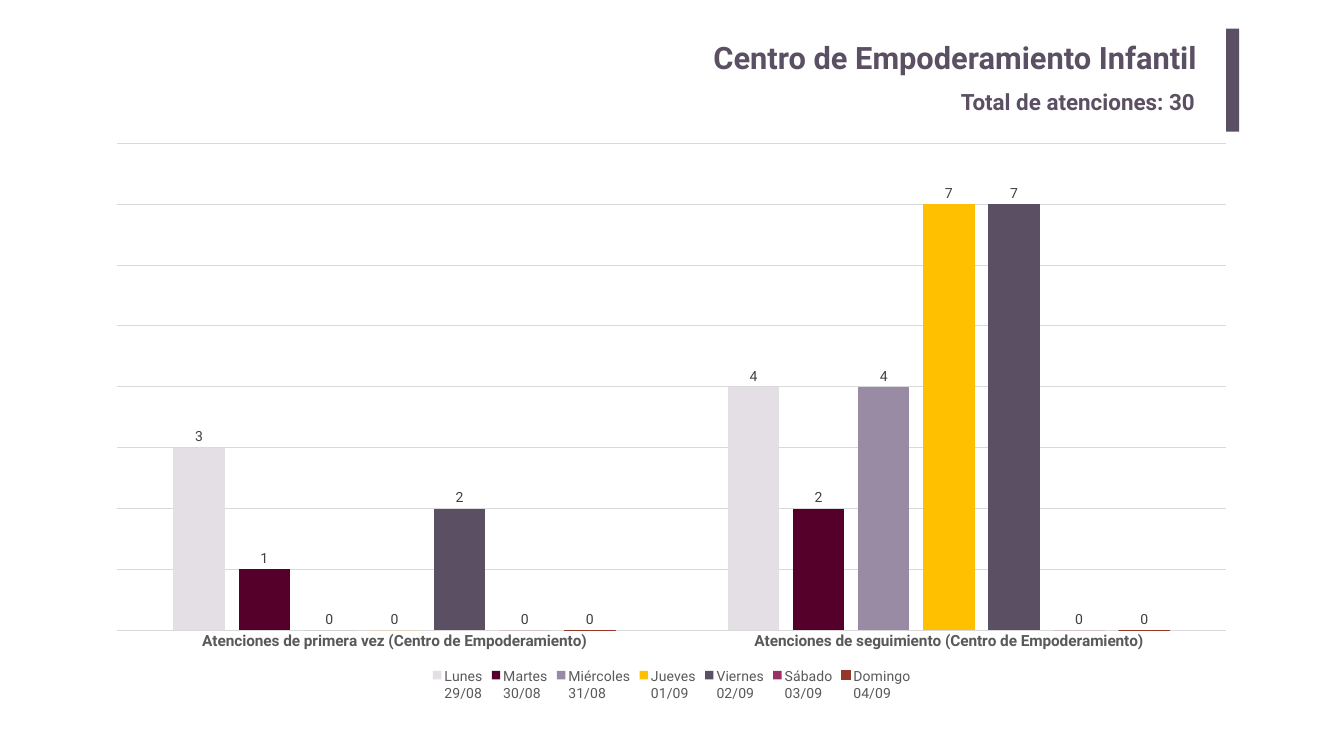
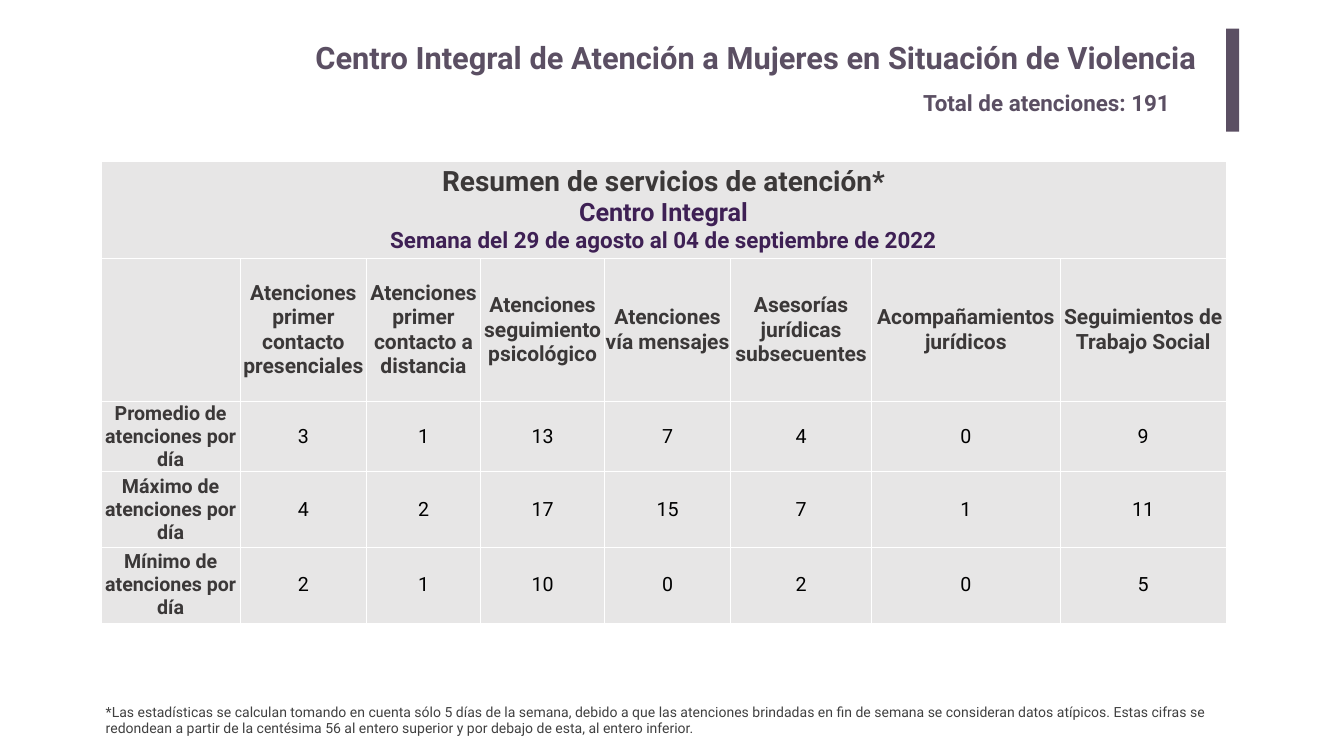
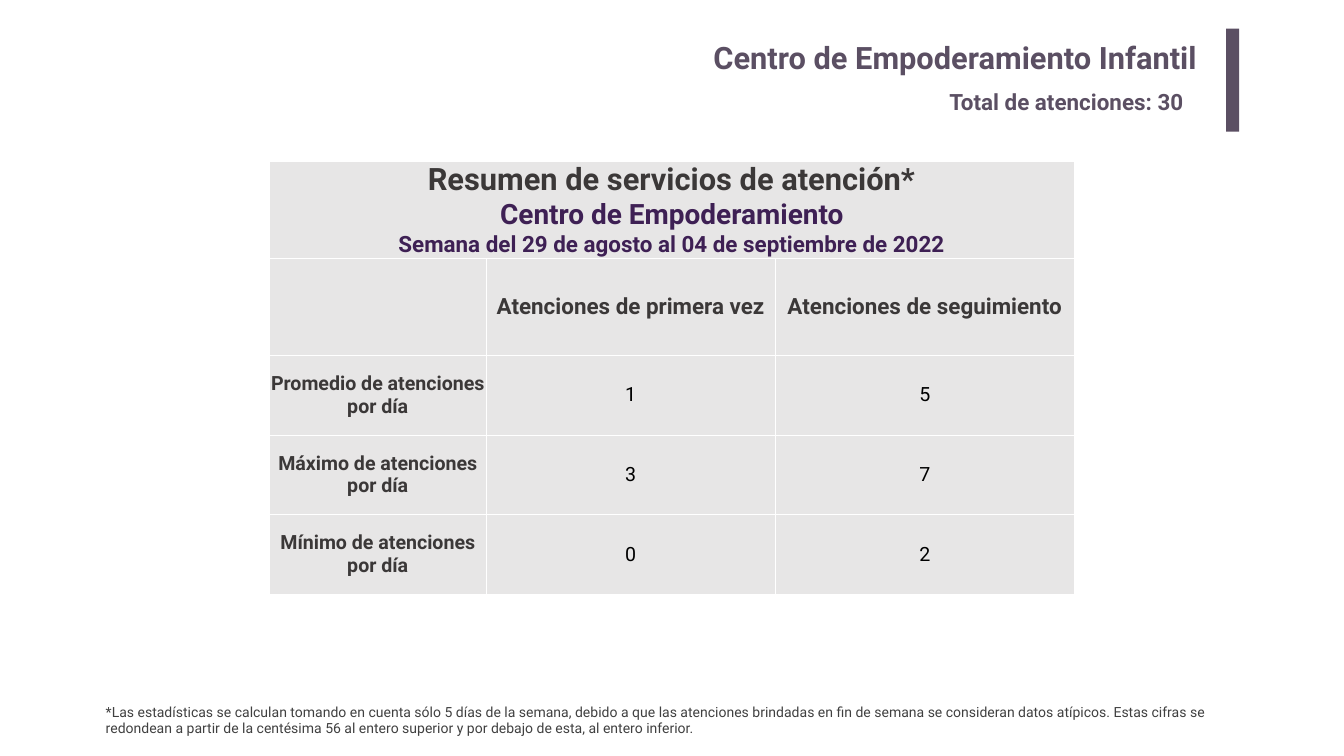
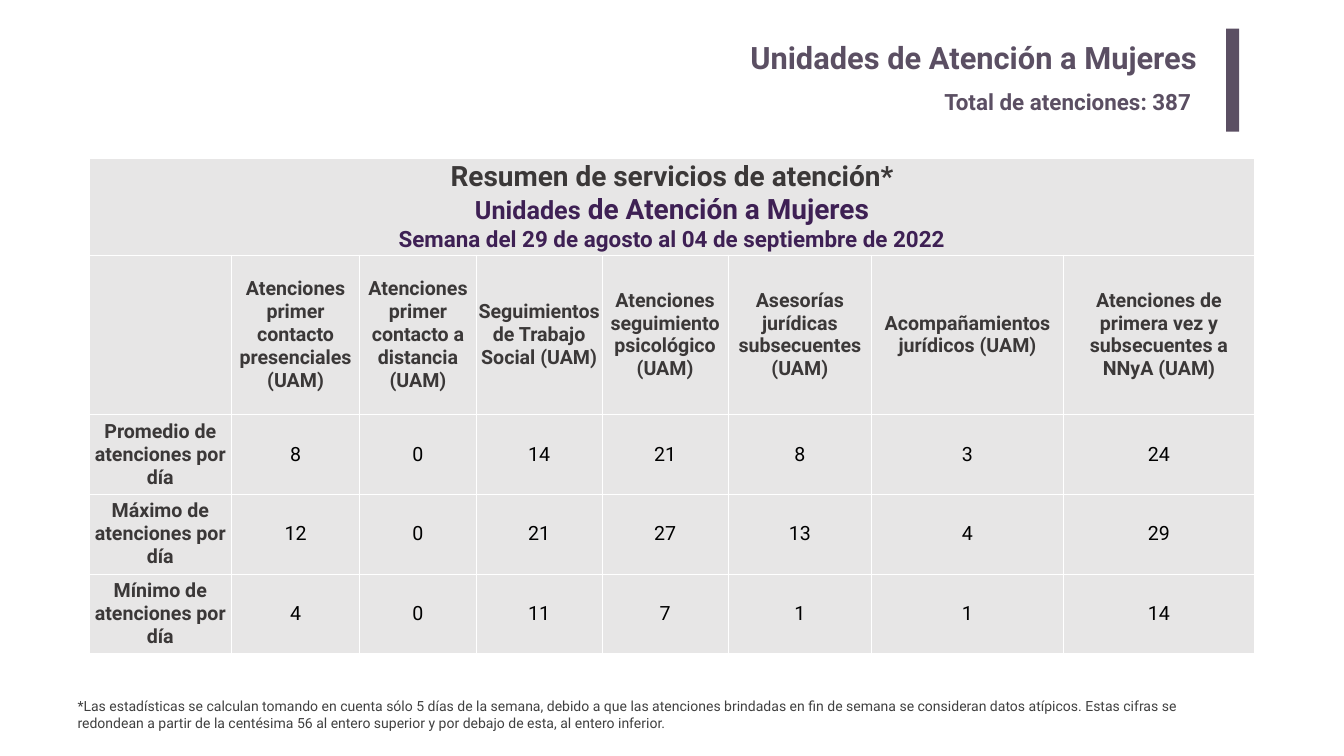
from dataclasses import dataclass

import lxml.etree
import pptx
import pptx.chart.data
import pptx.dml.color
import pptx.enum.chart
import pptx.enum.shapes
import pptx.enum.text
import pptx.oxml.ns
import pptx.util

RGB = pptx.dml.color.RGBColor
Align = pptx.enum.text.PP_ALIGN
Anchor = pptx.enum.text.MSO_ANCHOR
Pt = pptx.util.Pt

FONT = "Roboto"
WHITE = RGB(0xFF, 0xFF, 0xFF)
BLACK = RGB(0x00, 0x00, 0x00)
PLUM = RGB(0x5B, 0x4F, 0x63)
VIOLET = RGB(0x3E, 0x20, 0x54)
CHARCOAL = RGB(0x3B, 0x38, 0x38)
DARK_GREY = RGB(0x40, 0x40, 0x40)
AXIS_GREY = RGB(0x59, 0x59, 0x59)
GRID_GREY = RGB(0xD9, 0xD9, 0xD9)
CELL_GREY = RGB(0xE7, 0xE6, 0xE6)
BRICK = RGB(0x95, 0x37, 0x2B)

SLIDE_WIDTH = pptx.util.Inches(26.67)
SLIDE_HEIGHT = pptx.util.Inches(15)

SUMMARY = "Resumen de servicios de atención*"
WEEK = "Semana del 29 de agosto al 04 de septiembre de 2022"
MEASURES = ("Promedio", "Máximo", "Mínimo")
FOOTNOTE = (
    "*Las estadísticas se calculan tomando en cuenta sólo 5 días de la semana, "
    "debido a que las atenciones brindadas en fin de semana se consideran datos "
    "atípicos. Estas cifras se redondean a partir de la centésima 56 al entero "
    "superior y por debajo de esta, al entero inferior."
)


@dataclass(frozen=True)
class Box:
    """A place on the slide, in percent of its width and height."""

    left: float
    top: float
    width: float
    height: float

    def emu(self) -> tuple[int, int, int, int]:
        return across(self.left), down(self.top), across(self.width), down(self.height)


@dataclass(frozen=True)
class Heading:
    title: str
    total: int
    total_box: Box


@dataclass(frozen=True)
class Line:
    """A line of a table's title, as (text, size) pieces of one colour."""

    pieces: tuple[tuple[str, int], ...]
    color: RGB = VIOLET


@dataclass(frozen=True)
class Summary:
    left: float
    top: float
    columns: tuple[float, ...]
    rows: tuple[float, ...]
    title: tuple[Line, ...]
    services: tuple[str, ...]
    service_size: int
    values: tuple[tuple[int, ...], ...]


@dataclass(frozen=True)
class Day:
    name: str
    date: str
    visits: tuple[int, int]
    color: RGB


TITLE_BOX = Box(13.72, 4.47, 76.12, 6.8)
BAR_BOX = Box(91.23, 3.8, 0.97, 13.6)
CHART_BOX = Box(7.01, 17.4, 85.94, 75.8)
FOOTNOTE_BOX = Box(7.5, 92.67, 83.73, 5.13)
WIDE_FOOTNOTE_BOX = Box(5.4, 91.93, 85.38, 5.13)

CHILD_CENTRE = "Centro de Empoderamiento Infantil"
VISIT_KINDS = (
    "Atenciones de primera vez (Centro de Empoderamiento)",
    "Atenciones de seguimiento (Centro de Empoderamiento)",
)
DAYS = (
    Day("Lunes", "29/08", (3, 4), RGB(0xE3, 0xDF, 0xE5)),
    Day("Martes", "30/08", (1, 2), RGB(0x54, 0x00, 0x2A)),
    Day("Miércoles", "31/08", (0, 4), RGB(0x99, 0x8B, 0xA3)),
    Day("Jueves", "01/09", (0, 7), RGB(0xFF, 0xC0, 0x00)),
    Day("Viernes", "02/09", (2, 7), PLUM),
    Day("Sábado", "03/09", (0, 0), RGB(0x99, 0x33, 0x66)),
    Day("Domingo", "04/09", (0, 0), BRICK),
)

INTEGRAL_SUMMARY = Summary(
    left=7.5,
    top=21.4,
    columns=(10.39, 9.37, 8.51, 9.22, 9.37, 10.5, 14.02, 12.37),
    rows=(12.8, 18.87, 7.93, 10, 10),
    title=(
        Line(((SUMMARY, 40),), CHARCOAL),
        Line((("Centro Integral", 36),)),
        Line(((WEEK, 32),)),
    ),
    services=(
        "Atenciones primer contacto presenciales",
        "Atenciones primer contacto a distancia",
        "Atenciones seguimiento psicológico",
        "Atenciones vía mensajes",
        "Asesorías jurídicas subsecuentes",
        "Acompañamientos jurídicos",
        "Seguimientos de Trabajo Social",
    ),
    service_size=30,
    values=((3, 1, 13, 7, 4, 0, 9), (4, 2, 17, 15, 7, 1, 11), (2, 1, 10, 0, 2, 0, 5)),
)
CHILD_SUMMARY = Summary(
    left=20.06,
    top=21.33,
    columns=(16.09, 21.56, 22.2),
    rows=(12.8, 12.8, 10.53, 10.53, 10.53),
    title=(
        Line(((SUMMARY, 44),), CHARCOAL),
        Line((("Centro de Empoderamiento", 40),)),
        Line(((WEEK, 32),)),
    ),
    services=("Atenciones de primera vez", "Atenciones de seguimiento"),
    service_size=32,
    values=((1, 5), (3, 7), (0, 2)),
)
UNITS_SUMMARY = Summary(
    left=6.64,
    top=21,
    columns=(10.57, 9.56, 8.66, 9.37, 9.37, 10.69, 14.25, 14.25),
    rows=(12.73, 21.13, 10.53, 10.53, 10.53),
    title=(
        Line(((SUMMARY, 40),), CHARCOAL),
        Line((("Unidades", 36), (" de Atención a Mujeres", 40))),
        Line(((WEEK, 32),)),
    ),
    services=(
        "Atenciones primer contacto presenciales (UAM)",
        "Atenciones primer contacto a distancia (UAM)",
        "Seguimientos de Trabajo Social (UAM)",
        "Atenciones seguimiento psicológico (UAM)",
        "Asesorías jurídicas subsecuentes (UAM)",
        "Acompañamientos jurídicos (UAM)",
        "Atenciones de primera vez y subsecuentes a NNyA (UAM)",
    ),
    service_size=28,
    values=((8, 0, 14, 21, 8, 3, 24), (12, 0, 21, 27, 13, 4, 29), (4, 0, 11, 7, 1, 1, 14)),
)


def across(percent: float) -> int:
    return round(SLIDE_WIDTH * percent / 100)


def down(percent: float) -> int:
    return round(SLIDE_HEIGHT * percent / 100)


def style_font(font, size: float, color: RGB, bold: bool = False) -> None:
    font.name = FONT
    font.size = Pt(size)
    font.bold = bold
    font.color.rgb = color


def write(paragraph, text: str, *, size: float, color: RGB, bold: bool = True,
          align: Align = Align.CENTER) -> None:
    """Add one formatted run to the paragraph."""
    paragraph.alignment = align
    run = paragraph.add_run()
    run.text = text
    style_font(run.font, size, color, bold)


def add_text(slide, box: Box, text: str, *, inset: float = 0.1, grow: bool = True,
             **text_format) -> None:
    frame = slide.shapes.add_textbox(*box.emu()).text_frame
    frame.word_wrap = True
    frame.margin_left = frame.margin_right = pptx.util.Inches(inset)
    frame.margin_top = frame.margin_bottom = pptx.util.Inches(inset / 2)
    if grow:
        frame.auto_size = pptx.enum.text.MSO_AUTO_SIZE.SHAPE_TO_FIT_TEXT
    write(frame.paragraphs[0], text, **text_format)


def add_heading(slide, heading: Heading) -> None:
    add_text(slide, TITLE_BOX, heading.title, inset=0.2, grow=False,
             size=44, color=PLUM, align=Align.RIGHT)
    bar = slide.shapes.add_shape(pptx.enum.shapes.MSO_SHAPE.RECTANGLE, *BAR_BOX.emu())
    bar.shadow.inherit = False
    bar.fill.solid()
    bar.fill.fore_color.rgb = PLUM
    bar.line.fill.background()
    add_text(slide, heading.total_box, f"Total de atenciones: {heading.total}",
             size=32, color=PLUM, align=Align.LEFT)


def add_footnote(slide, box: Box) -> None:
    add_text(slide, box, FOOTNOTE, size=20, color=DARK_GREY, bold=False, align=Align.LEFT)


def style_cell(cell) -> None:
    """Give the cell white borders, a grey fill and centred, unpadded text."""
    qn = pptx.oxml.ns.qn
    properties = cell._tc.get_or_add_tcPr()
    for side in ("lnL", "lnR", "lnT", "lnB"):
        border = lxml.etree.SubElement(properties, qn(f"a:{side}"), w=str(Pt(1)))
        fill = lxml.etree.SubElement(border, qn("a:solidFill"))
        lxml.etree.SubElement(fill, qn("a:srgbClr"), val=str(WHITE))
    cell.fill.solid()
    cell.fill.fore_color.rgb = CELL_GREY
    cell.margin_left = cell.margin_right = cell.margin_top = cell.margin_bottom = 0
    cell.vertical_anchor = Anchor.MIDDLE


def add_summary(slide, summary: Summary) -> None:
    box = Box(summary.left, summary.top, sum(summary.columns), sum(summary.rows))
    table = slide.shapes.add_table(
        len(summary.rows), len(summary.columns), *box.emu()).table
    table.first_row = table.horz_banding = False
    for column, width in zip(table.columns, summary.columns):
        column.width = across(width)
    for row, height in zip(table.rows, summary.rows):
        row.height = down(height)
    for cell in table.iter_cells():
        style_cell(cell)

    banner = table.cell(0, 0)
    banner.merge(table.cell(0, len(summary.columns) - 1))
    for index, line in enumerate(summary.title):
        frame = banner.text_frame
        paragraph = frame.add_paragraph() if index else frame.paragraphs[0]
        for text, size in line.pieces:
            write(paragraph, text, size=size, color=line.color)

    def fill_cell(row: int, column: int, text: str, **text_format) -> None:
        write(table.cell(row, column).text_frame.paragraphs[0], text, **text_format)

    for column, service in enumerate(summary.services, 1):
        fill_cell(1, column, service, size=summary.service_size, color=CHARCOAL)
    for row, (measure, values) in enumerate(zip(MEASURES, summary.values), 2):
        fill_cell(row, 0, f"{measure} de atenciones por día", size=28, color=CHARCOAL)
        for column, value in enumerate(values, 1):
            fill_cell(row, column, str(value), size=28, color=BLACK, bold=False)


def add_daily_chart(slide) -> None:
    data = pptx.chart.data.CategoryChartData(number_format="0")
    data.categories = VISIT_KINDS
    for day in DAYS:
        data.add_series(f"{day.name}\n{day.date}", day.visits)
    chart = slide.shapes.add_chart(
        pptx.enum.chart.XL_CHART_TYPE.COLUMN_CLUSTERED, *CHART_BOX.emu(), data).chart
    style_font(chart.font, 10, BLACK)
    chart.has_title = False
    chart.has_legend = True
    chart.legend.position = pptx.enum.chart.XL_LEGEND_POSITION.BOTTOM
    chart.legend.include_in_layout = False
    style_font(chart.legend.font, 20, AXIS_GREY)

    kinds = chart.category_axis
    kinds.major_tick_mark = pptx.enum.chart.XL_TICK_MARK.NONE
    style_font(kinds.tick_labels.font, 22, AXIS_GREY, bold=True)
    visits = chart.value_axis
    visits.visible = False
    visits.minimum_scale, visits.maximum_scale, visits.major_unit = 0, 8, 1
    visits.has_major_gridlines = True
    for line in (kinds.format.line, visits.major_gridlines.format.line):
        line.color.rgb = GRID_GREY
        line.width = Pt(0.75)

    plot = chart.plots[0]
    plot.vary_by_categories = False
    plot.gap_width = 219
    plot.overlap = -27
    for day, series in zip(DAYS, plot.series):
        series.format.fill.solid()
        series.format.fill.fore_color.rgb = day.color
        if day.color == BRICK:
            series.format.line.color.rgb = BRICK
            series.format.line.width = Pt(0.75)
        else:
            series.format.line.fill.background()
        labels = series.data_labels
        labels.show_value = True
        labels.position = pptx.enum.chart.XL_LABEL_POSITION.OUTSIDE_END
        style_font(labels.font, 20, DARK_GREY)


def main() -> None:
    deck = pptx.Presentation()
    deck.slide_width = SLIDE_WIDTH
    deck.slide_height = SLIDE_HEIGHT

    def new_slide(heading: Heading):
        slide = deck.slides.add_slide(deck.slide_layouts[6])
        add_heading(slide, heading)
        return slide

    daily = new_slide(Heading(CHILD_CENTRE, 30, Box(71.13, 11.27, 18.94, 4.27)))
    add_daily_chart(daily)

    integral = new_slide(Heading(
        "Centro Integral de Atención a Mujeres en Situación de Violencia", 191,
        Box(68.32, 11.4, 22.2, 4.27)))
    add_summary(integral, INTEGRAL_SUMMARY)
    add_footnote(integral, FOOTNOTE_BOX)

    child = new_slide(Heading(CHILD_CENTRE, 30, Box(70.27, 11.27, 19.8, 4.27)))
    add_summary(child, CHILD_SUMMARY)
    add_footnote(child, FOOTNOTE_BOX)

    units = new_slide(Heading(
        "Unidades de Atención a Mujeres", 387, Box(69.89, 11.27, 20.17, 4.27)))
    add_summary(units, UNITS_SUMMARY)
    add_footnote(units, WIDE_FOOTNOTE_BOX)

    deck.save("out.pptx")


if __name__ == "__main__":
    main()
